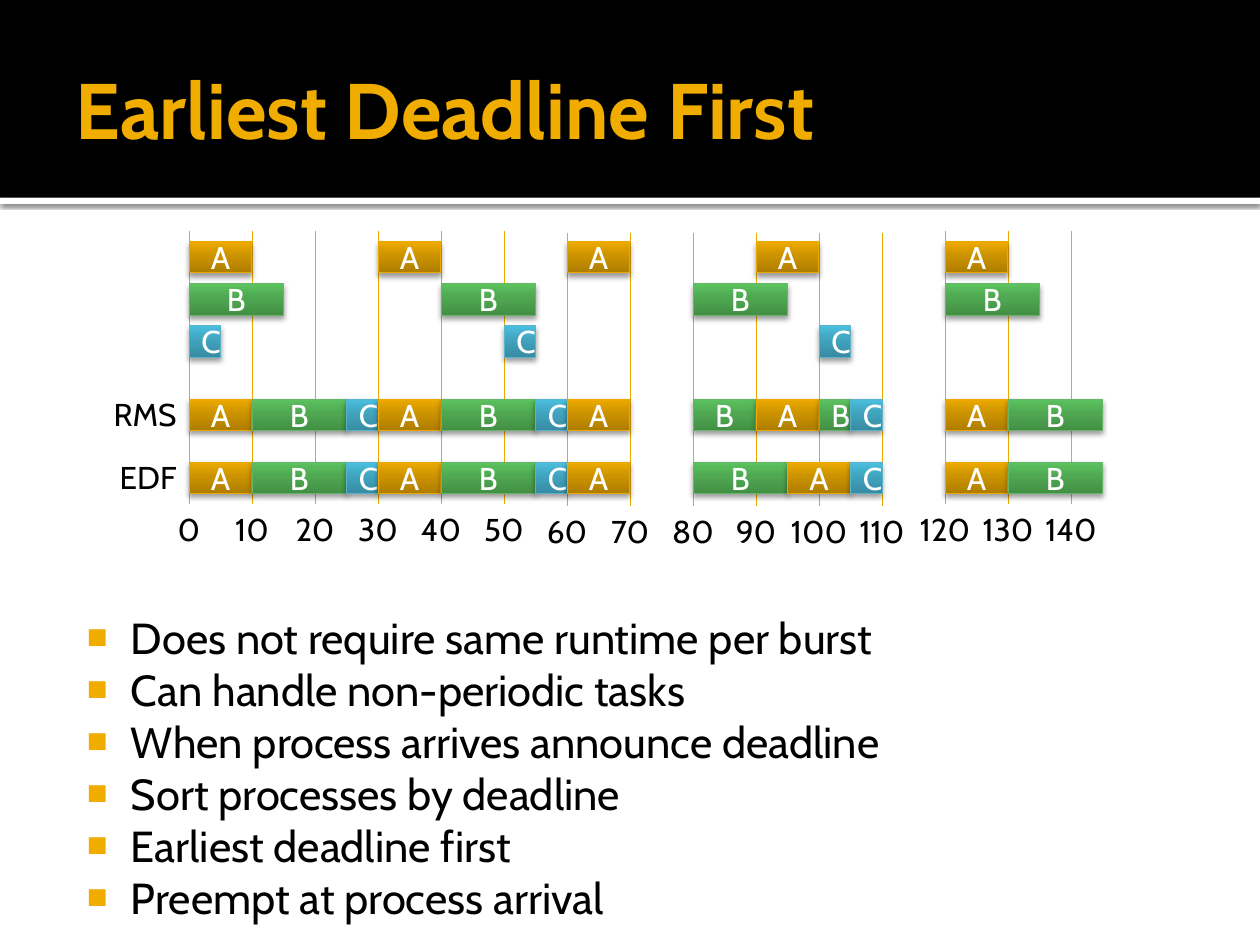
from dataclasses import dataclass

import lxml.etree
import pptx
import pptx.dml.color
import pptx.enum.shapes
import pptx.enum.text
import pptx.oxml
import pptx.oxml.ns
import pptx.util

Pt = pptx.util.Pt
ALIGN = pptx.enum.text.PP_ALIGN
ANCHOR = pptx.enum.text.MSO_ANCHOR
RECT = pptx.enum.shapes.MSO_SHAPE.RECTANGLE
qn = pptx.oxml.ns.qn


@dataclass(frozen=True)
class Theme:
    font: str = "Cabin"
    title_size: float = 45
    body_size: float = 24.8
    body_leading: float = 29.7
    label_size: float = 18
    accent: str = "F0AD00"
    grid: str = "EBA900"
    black: str = "000000"
    white: str = "FFFFFF"


THEME = Theme()

# Task: (line colour, gradient colours from bottom to top)
TASKS = {
    "A": ("EBA900", ("AE7D00", "CC9300", "EEAB00")),
    "B": ("67B569", ("438F45", "4FA851", "5CC35F")),
    "C": ("5BB3CA", ("378BA2", "41A4BF", "4BBFDE")),
}
GRADIENT_STOPS = (0, 55, 100)

# Task: (run time, arrival times)
ARRIVALS = {
    "A": (10, (0, 30, 60, 90, 120)),
    "B": (15, (0, 40, 80, 120)),
    "C": (5, (0, 50, 100)),
}

# Start of each busy period: tasks run back to back, with their durations
FIRST_PERIOD = [("A", 10), ("B", 15), ("C", 5), ("A", 10), ("B", 15), ("C", 5), ("A", 10)]
LAST_PERIOD = [("A", 10), ("B", 15)]
SCHEDULES = {
    "RMS": {0: FIRST_PERIOD, 80: [("B", 10), ("A", 10), ("B", 5), ("C", 5)], 120: LAST_PERIOD},
    "EDF": {0: FIRST_PERIOD, 80: [("B", 15), ("A", 10), ("C", 5)], 120: LAST_PERIOD},
}

BULLETS = [
    "Does not require same runtime per burst",
    "Can handle non-periodic tasks",
    "When process arrives announce deadline",
    "Sort processes by deadline",
    "Earliest deadline first",
    "Preempt at process arrival",
]


def rgb(value):
    return pptx.dml.color.RGBColor.from_string(value)


def write(tf, *lines, size=THEME.label_size, color=THEME.black, bold=False,
          align=ALIGN.LEFT, anchor=ANCHOR.TOP, margins=(7.2, 3.6, 7.2, 3.6), leading=None):
    """Fill a text frame, one paragraph a line; margins are left, top, right, bottom."""
    tf.word_wrap = True
    tf.auto_size = pptx.enum.text.MSO_AUTO_SIZE.NONE
    tf.vertical_anchor = anchor
    tf.margin_left, tf.margin_top, tf.margin_right, tf.margin_bottom = map(Pt, margins)
    for i, line in enumerate(lines):
        p = tf.paragraphs[0] if i == 0 else tf.add_paragraph()
        p.alignment = align
        p.space_before = Pt(0)
        if leading:
            p.line_spacing = Pt(leading)
        r = p.add_run()
        r.text = line
        r.font.name = THEME.font
        r.font.size = Pt(size)
        r.font.bold = bold
        r.font.color.rgb = rgb(color)


def add_label(slide, text, x, y, w, h, align):
    tf = slide.shapes.add_textbox(Pt(x), Pt(y), Pt(w), Pt(h)).text_frame
    write(tf, text, align=align)


def add_rect(slide, x, y, w, h, fill=None):
    sp = slide.shapes.add_shape(RECT, Pt(x), Pt(y), Pt(w), Pt(h))
    sp.shadow.inherit = False
    sp.line.fill.background()
    if fill:
        sp.fill.solid()
        sp.fill.fore_color.rgb = rgb(fill)
    return sp


def add_shadow(sp, opacity, blur, distance):
    effects = sp.element.spPr.find(qn("a:effectLst"))
    shadow = lxml.etree.SubElement(
        effects, qn("a:outerShdw"), blurRad=str(Pt(blur)), dist=str(Pt(distance)),
        dir="5400000", algn="t", rotWithShape="0")
    color = lxml.etree.SubElement(shadow, qn("a:srgbClr"), val=THEME.black)
    lxml.etree.SubElement(color, qn("a:alpha"), val=str(opacity * 1000))


def fill_upward(sp, colors):
    """Give a shape a gradient that runs from bottom to top."""
    sp.fill.gradient()
    grad = sp.element.spPr.find(qn("a:gradFill"))
    for child in list(grad):
        grad.remove(child)
    stops = lxml.etree.SubElement(grad, qn("a:gsLst"))
    for position, color in zip(GRADIENT_STOPS, colors):
        stop = lxml.etree.SubElement(stops, qn("a:gs"), pos=str(position * 1000))
        lxml.etree.SubElement(stop, qn("a:srgbClr"), val=color)
    lxml.etree.SubElement(grad, qn("a:lin"), ang="16200000", scaled="0")


def place(sp, x, y, w, h):
    sp.left, sp.top, sp.width, sp.height = Pt(x), Pt(y), Pt(w), Pt(h)


def add_header(slide, x, y, w, h):
    rule = add_rect(slide, x, y + h, w, 3.6, THEME.white)
    add_shadow(rule, 60, 2.5, 0.8)
    add_rect(slide, x, y, w, h, THEME.black)
    title = slide.shapes.title
    place(title, x + 36, y + 12, w - 72, 99)
    write(title.text_frame, "Earliest Deadline First", size=THEME.title_size,
          color=THEME.accent, bold=True, anchor=ANCHOR.MIDDLE, margins=(7.2, 3.6, 3.6, 3.6))
    # The title placeholder comes first on the slide: bring it above the band
    title.element.getparent().append(title.element)


def add_bar(slide, task, x, y, w, h=18):
    line, colors = TASKS[task]
    sp = add_rect(slide, x, y, w, h)
    fill_upward(sp, colors)
    sp.line.color.rgb = rgb(line)
    sp.line.width = Pt(0.5)
    add_shadow(sp, 38, 3.1, 2)
    write(sp.text_frame, task, color=THEME.white, align=ALIGN.CENTER, anchor=ANCHOR.MIDDLE)


def add_time_axis(slide, x, y, h, unit):
    for time in range(0, 141, 10):
        tick = x + time * unit
        top = y + (1 if 60 <= time <= 110 else 0)
        line = slide.shapes.add_connector(
            pptx.enum.shapes.MSO_CONNECTOR.STRAIGHT, Pt(tick), Pt(top), Pt(tick), Pt(top + h))
        line.line.color.rgb = rgb(THEME.grid)
        line.line.width = Pt(0.5)
        lxml.etree.SubElement(line.element.spPr, qn("a:effectLst"))
        add_label(slide, str(time), tick - 24, top + h, 48, 29, ALIGN.CENTER)


def add_timeline(slide, x, y, h, unit):
    """Draw arrivals and schedules; unit is the width of one time step."""
    add_time_axis(slide, x, y, h, unit)
    for row, (task, (duration, starts)) in enumerate(ARRIVALS.items()):
        for start in starts:
            add_bar(slide, task, x + start * unit, y + 6 + row * 24, duration * unit)
    for row, (name, periods) in enumerate(SCHEDULES.items()):
        top = y + 96 + row * 36
        add_label(slide, name, x - 78, top - 6, 78, 30, ALIGN.RIGHT)
        for time, runs in periods.items():
            for task, duration in runs:
                add_bar(slide, task, x + time * unit, top, duration * unit)
                time += duration


def add_bullets(slide, x, y, w, h):
    body = slide.placeholders[1]
    place(body, x, y, w, h)
    write(body.text_frame, *BULLETS, size=THEME.body_size, leading=THEME.body_leading,
          margins=(4.3, 7.2, 7.2, 3.6))
    for p in body.text_frame.paragraphs:
        pPr = p._p.get_or_add_pPr()
        pPr.set("marL", str(Pt(34.5)))
        pPr.set("indent", str(Pt(-25.2)))
        color = lxml.etree.SubElement(pPr, qn("a:buClr"))
        lxml.etree.SubElement(color, qn("a:srgbClr"), val=THEME.accent)
        lxml.etree.SubElement(pPr, qn("a:buSzPct"), val="80000")
        lxml.etree.SubElement(pPr, qn("a:buChar"), char="■")


def main():
    prs = pptx.Presentation()
    prs.slide_width, prs.slide_height = Pt(720), Pt(540)
    slide = prs.slides.add_slide(prs.slide_layouts[1])
    add_header(slide, 0, 0, 720, 113)
    add_timeline(slide, 108, 132, 156, 3.6)
    add_bullets(slide, 36, 342, 648, 162)
    prs.save("out.pptx")


if __name__ == "__main__":
    main()
